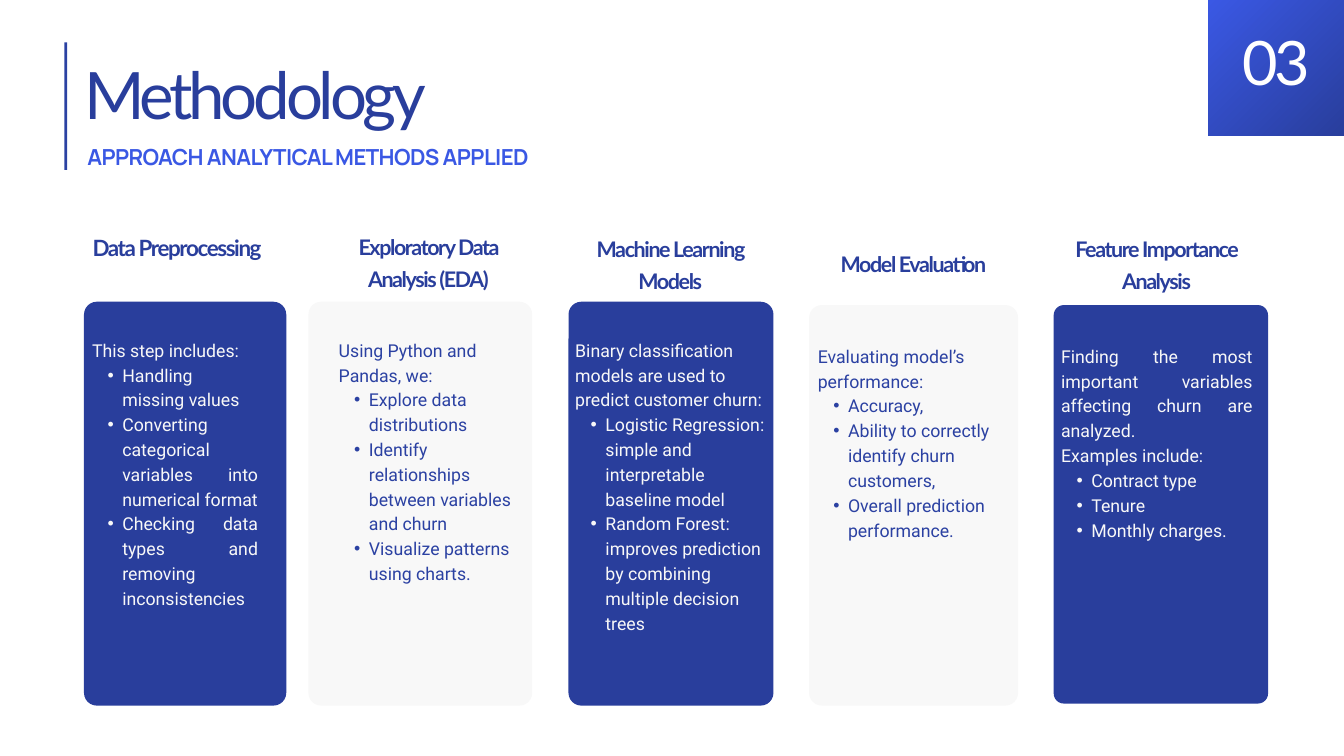
from copy import deepcopy

from lxml import etree
from pptx import Presentation
from pptx.dml.color import RGBColor
from pptx.enum import shapes, text
from pptx.oxml import ns
from pptx.util import Inches, Pt

NAVY = RGBColor(0x29, 0x3E, 0x9C)
BLUE = RGBColor(0x3A, 0x58, 0xE4)
INK = RGBColor(0x2B, 0x41, 0xA2)
PALE = RGBColor(0xF8, 0xF8, 0xF8)
WHITE = RGBColor(0xFF, 0xFF, 0xFF)

LEFT, MID, JUST = text.PP_ALIGN.LEFT, text.PP_ALIGN.CENTER, text.PP_ALIGN.JUSTIFY

# Each card: its box, heading and list boxes (relative to the card),
# corner radius, heading size, fill, text colour, alignment, lead lines, bullets.
CARDS = [
    ((1.25, 4.49, 3.01, 6.01), (0.05, -1.1, 2.67, 0.95), (0.12, 0.51, 2.47, 4.36),
     0.19, 24, NAVY, PALE, JUST, "Data Preprocessing",
     ["This step includes:"],
     ["Handling missing values",
      "Converting categorical variables into numerical format",
      "Checking data types and removing inconsistencies"]),
    ((4.59, 4.49, 3.33, 6.01), (0.45, -1.1, 2.67, 1.38), (0.45, 0.51, 2.69, 4.36),
     0.19, 23, PALE, INK, LEFT, "Exploratory Data Analysis (EDA)",
     ["Using Python and Pandas, we:"],
     ["Explore data distributions",
      "Identify relationships between variables and churn",
      "Visualize patterns using charts."]),
    ((8.46, 4.49, 3.05, 6.01), (0.18, -1.07, 2.67, 0.91), (0.1, 0.51, 2.85, 5.09),
     0.19, 23, NAVY, PALE, LEFT, "Machine Learning Models",
     ["Binary classification models are used to predict customer churn:"],
     ["Logistic Regression: simple and interpretable baseline model",
      "Random Forest: improves prediction by combining multiple decision trees"]),
    ((12.04, 4.54, 3.11, 5.96), (0.22, -0.9, 2.67, 0.45), (0.13, 0.55, 2.85, 2.91),
     0.19, 23, PALE, INK, LEFT, "Model Evaluation",
     ["Evaluating model’s performance:"],
     ["Accuracy,",
      "Ability to correctly identify churn customers,",
      "Overall prediction performance."]),
    ((15.68, 4.54, 3.19, 5.93), (0.14, -1.13, 2.78, 0.91), (0.11, 0.55, 2.85, 2.91),
     0.15, 23, NAVY, PALE, JUST, "Feature Importance Analysis",
     ["Finding the most important variables affecting churn are analyzed.",
      "Examples include:"],
     ["Contract type", "Tenure", "Monthly charges."]),
]


def place(shape, box):
    shape.left, shape.top, shape.width, shape.height = (Inches(n) for n in box)


def inner(box, part):
    """Turn a box relative to another into slide inches."""
    return box[0] + part[0], box[1] + part[1], part[2], part[3]


def clear(frame):
    """Remove margins and fitting, wrap lines, and start at the top."""
    frame.margin_left = frame.margin_right = 0
    frame.margin_top = frame.margin_bottom = 0
    frame.word_wrap = True
    frame.auto_size = text.MSO_AUTO_SIZE.NONE
    frame.vertical_anchor = text.MSO_ANCHOR.TOP


def style(para, face, size, color, line, align=LEFT, bold=False, track=0):
    para.alignment = align
    para.line_spacing = Pt(line)
    para.space_before = para.space_after = Pt(0)
    for run in para.runs:
        font = run.font
        font.name, font.size, font.bold = face, Pt(size), bold
        font.color.rgb = color
        if track:
            font._element.set("spc", str(round(track * 100)))


def label(slide, box, words, *looks, **more):
    shape = slide.shapes.add_textbox(*(Inches(n) for n in box))
    clear(shape.text_frame)
    shape.text_frame.text = words
    style(shape.text_frame.paragraphs[0], *looks, **more)


def block(slide, kind, box, color):
    shape = slide.shapes.add_shape(kind, *(Inches(n) for n in box))
    shape.shadow.inherit = False
    shape.fill.solid()
    shape.fill.fore_color.rgb = color
    shape.line.fill.background()
    return shape


def bullet(para, mark):
    """Give a paragraph a bullet mark, or none when mark is empty."""
    props = para._p.get_or_add_pPr()
    props.set("marL", str(Inches(0.45) if mark else 0))
    props.set("indent", str(Inches(-0.22) if mark else 0))
    if mark:
        para.level = 1
        etree.SubElement(props, ns.qn("a:buFont")).set("typeface", "Arial")
        etree.SubElement(props, ns.qn("a:buChar")).set("char", mark)
    else:
        etree.SubElement(props, ns.qn("a:buNone"))


def header(slide, box):
    x, y, w, h = box
    block(slide, shapes.MSO_SHAPE.RECTANGLE, (x, y, 0.04, h), INK)
    title = slide.shapes.title
    place(title, inner(box, (0.29, 0.39, w - 0.29, 1.01)))
    clear(title.text_frame)
    title.text_frame.text = "Methodology"
    style(title.text_frame.paragraphs[0], "Lato", 70, NAVY, 68.6, track=-4.5)
    label(slide, inner(box, (0.34, 1.44, 7.36, 0.45)),
          "APPROACH ANALYTICAL METHODS APPLIED",
          "Manrope", 23.7, BLUE, 33.2, bold=True, track=-0.6)


def badge(slide, box):
    tile = block(slide, shapes.MSO_SHAPE.RECTANGLE, box, BLUE)
    tile.fill.gradient()
    for stop, color, spot in zip(tile.fill.gradient_stops, (BLUE, NAVY), (0, 1)):
        stop.color.rgb, stop.position = color, spot
    lin = tile.element.spPr.find(".//" + ns.qn("a:lin"))
    glow = etree.Element(ns.qn("a:path"), path="circle")
    etree.SubElement(glow, ns.qn("a:fillToRect"), r="100000", b="100000")
    lin.getparent().replace(lin, glow)
    label(slide, inner(box, (0.26, 0.57, 1.5, 0.98)), "03",
          "Lato", 65.6, WHITE, 64.2, align=MID, track=-4.2)


def card(slide, body, box, head, area, round_, size, fill, ink, align, name, leads, items):
    panel = block(slide, shapes.MSO_SHAPE.ROUNDED_RECTANGLE, box, fill)
    panel.adjustments[0] = round_ / box[2]
    body.element.addprevious(panel.element)
    label(slide, inner(box, head), name, "Lato", size, NAVY, size * 1.5,
          align=MID, bold=True, track=-1.5)
    place(body, inner(box, area))
    frame = body.text_frame
    clear(frame)
    frame.text = "\n".join(leads + items)
    for i, para in enumerate(frame.paragraphs):
        bullet(para, "•" if i >= len(leads) else "")
        style(para, "Roboto", 19, ink, 26.6, align)


def widen(layout, count):
    """Give the layout one body placeholder for each card."""
    first = layout.placeholders[1].element
    for i in range(1, count):
        twin = deepcopy(first)
        twin.xpath(".//p:ph")[0].set("idx", str(20 + i))
        twin.xpath(".//p:cNvPr")[0].set("id", str(20 + i))
        first.getparent().append(twin)


def main():
    deck = Presentation()
    deck.slide_width, deck.slide_height = Inches(20), Inches(11.25)
    layout = deck.slide_layouts[1]
    widen(layout, len(CARDS))
    slide = deck.slides.add_slide(layout)
    header(slide, (0.96, 0.63, 9.52, 1.9))
    badge(slide, (17.98, 0, 2.02, 2.02))
    bodies = [p for p in slide.placeholders if p.placeholder_format.idx]
    for body, data in zip(bodies, CARDS):
        card(slide, body, *data)
    deck.save("out.pptx")


if __name__ == "__main__":
    main()
